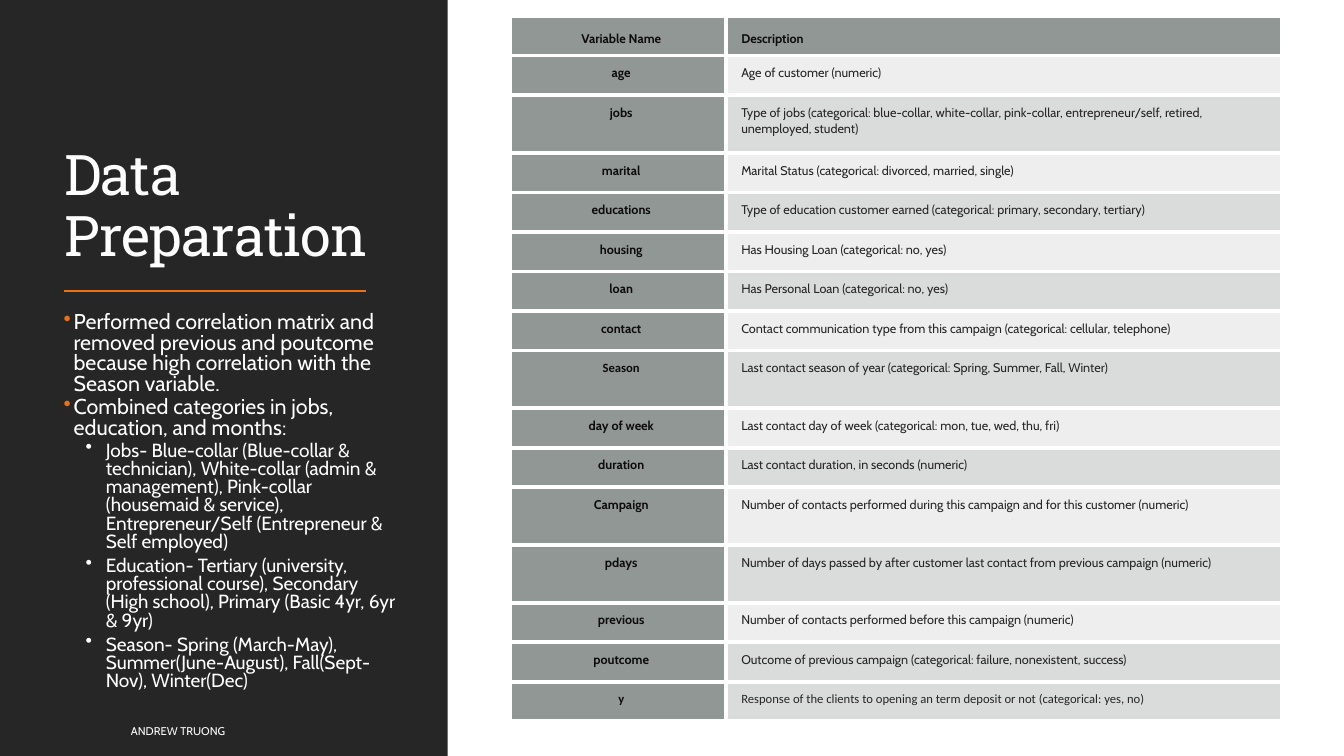
from lxml.etree import SubElement
from pptx import Presentation
from pptx.dml.color import RGBColor
from pptx.enum.shapes import MSO_CONNECTOR, MSO_SHAPE
from pptx.enum.text import MSO_ANCHOR, PP_ALIGN
from pptx.oxml import parse_xml
from pptx.oxml.ns import nsdecls, qn
from pptx.util import Inches, Pt

HUES = {"dark": "262626", "white": "FFFFFF", "accent": "EC7016",
        "ink": "0D0D0D", "name": "636B68", "band": "878E8B"}
MAIN, HEAD, ALT = "Cabin", "Roboto Slab", "Calibri"

POINTS = [
    (0, "Performed correlation matrix and removed previous and poutcome "
        "because high correlation with the Season variable."),
    (0, "Combined categories in jobs, education, and months:"),
    (1, "Jobs- Blue-collar (Blue-collar & technician), White-collar (admin & "
        "management), Pink-collar (housemaid & service), Entrepreneur/Self "
        "(Entrepreneur & Self employed)"),
    (1, "Education- Tertiary (university, professional course), Secondary "
        "(High school), Primary (Basic 4yr, 6yr & 9yr)"),
    (1, "Season- Spring (March-May), Summer(June-August), Fall(Sept-Nov), "
        "Winter(Dec)"),
]

ROWS = [
    ("Variable Name", "Description"),
    ("age", "Age of customer (numeric)"),
    ("jobs", "Type of jobs (categorical: blue-collar, white-collar, pink-collar, "
             "entrepreneur/self, retired, unemployed, student)"),
    ("marital", "Marital Status (categorical: divorced, married, single)"),
    ("educations", "Type of education customer earned (categorical: primary, "
                   "secondary, tertiary)"),
    ("housing", "Has Housing Loan (categorical: no, yes)"),
    ("loan", "Has Personal Loan (categorical: no, yes)"),
    ("contact", "Contact communication type from this campaign (categorical: "
                "cellular, telephone)"),
    ("Season", "Last contact season of year (categorical: Spring, Summer, Fall, "
               "Winter)"),
    ("day of week", "Last contact day of week (categorical: mon, tue, wed, thu, fri)"),
    ("duration", "Last contact duration, in seconds (numeric)"),
    ("Campaign", "Number of contacts performed during this campaign and for this "
                 "customer (numeric)"),
    ("pdays", "Number of days passed by after customer last contact from previous "
              "campaign (numeric)"),
    ("previous", "Number of contacts performed before this campaign (numeric)"),
    ("poutcome", "Outcome of previous campaign (categorical: failure, nonexistent, "
                 "success)"),
    ("y", "Response of the clients to opening an term deposit or not "
          "(categorical: yes, no)"),
]
TALL = {"jobs", "Season", "Campaign", "pdays"}
# Cells set in the second font, as (row name, column)
OTHER = {("Season", 0), ("y", 0), ("y", 1)}


class Deck:
    """Places elements by percent of the slide's width and height."""

    def __init__(self):
        self.show = Presentation()
        self.show.slide_width = Inches(13.33)
        self.show.slide_height = Inches(7.5)
        self.page = self.show.slides.add_slide(self.show.slide_layouts[6])

    def box(self, left, top, width, height):
        wide, high = self.show.slide_width, self.show.slide_height
        return [int(share * side / 100) for share, side in
                ((left, wide), (top, high), (width, wide), (height, high))]

    def hue(self, name):
        return RGBColor.from_string(HUES[name])

    def style(self, para, size, hue="white", font=MAIN, bold=False, lead=1.0):
        para.line_spacing = lead
        for run in para.runs:
            run.font.size, run.font.name, run.font.bold = Pt(size), font, bold
            run.font.color.rgb = self.hue(hue)

    def panel(self, area, hue):
        shape = self.page.shapes.add_shape(MSO_SHAPE.RECTANGLE, *self.box(*area))
        shape.shadow.inherit = False
        shape.fill.solid()
        shape.fill.fore_color.rgb = self.hue(hue)
        shape.line.fill.background()

    def rule(self, left, top, width, hue):
        x, y, span, _ = self.box(left, top, width, 0)
        line = self.page.shapes.add_connector(
            MSO_CONNECTOR.STRAIGHT, x, y, x + span, y)
        line.line.color.rgb = self.hue(hue)
        line.line.width = Pt(1.5)
        SubElement(line._element.spPr, qn("a:effectLst"))

    def frame(self, area, anchor=MSO_ANCHOR.TOP):
        frame = self.page.shapes.add_textbox(*self.box(*area)).text_frame
        frame.word_wrap = True
        frame.vertical_anchor = anchor
        return frame

    def label(self, area, text, size, anchor, font=MAIN, lead=1.0, track=0):
        frame = self.frame(area, anchor)
        frame.text = text
        para = frame.paragraphs[0]
        self.style(para, size, font=font, lead=lead)
        para.runs[0].font._element.set("spc", str(track))

    def bullets(self, area, items):
        frame = self.frame(area)
        frame.margin_left = frame.margin_right = 0
        frame.text = "\n".join(text for _, text in items)
        for para, (level, _) in zip(frame.paragraphs, items):
            size, after, left, hang, hue = (
                (13.6, 4, 0.42, 0.2, "white") if level else
                (15.3, 2, 0.1, 0.1, "accent"))
            self.style(para, size, lead=0.8)
            para.level = level
            para.space_after = Pt(after)
            props = para._p.get_or_add_pPr()
            props.set("marL", str(Inches(left)))
            props.set("indent", str(-Inches(hang)))
            tint = SubElement(props, qn("a:buClr"))
            SubElement(tint, qn("a:srgbClr"), val=HUES[hue])
            SubElement(props, qn("a:buChar"), char="•")

    def cell(self, cell, hue, alpha):
        cell.margin_left = Inches(0.15)
        cell.margin_right = cell.margin_top = cell.margin_bottom = Inches(0.09)
        cell.fill.solid()
        cell.fill.fore_color.rgb = self.hue(hue)
        props = cell._tc.get_or_add_tcPr()
        tint = props.find(qn("a:solidFill")).find(qn("a:srgbClr"))
        SubElement(tint, qn("a:alpha"), val=str(alpha * 1000))
        for spot, side in enumerate("LRTB"):
            props.insert(spot, parse_xml(
                f'<a:ln{side} {nsdecls("a")} w="{Pt(3)}"><a:solidFill>'
                f'<a:srgbClr val="{HUES["white"]}"/></a:solidFill></a:ln{side}>'))

    def table(self, area, rows, split):
        place = self.box(*area)
        grid = self.page.shapes.add_table(len(rows), 2, *place).table
        grid.first_row = grid.horz_banding = False
        for col, share in zip(grid.columns, (split, 1 - split)):
            col.width = int(place[2] * share)
        # Tall rows get a fixed extra; the rest is shared evenly
        extra = Inches(0.18)
        base = (place[3] - extra * len(TALL)) // len(rows)
        last = len(rows) - 1
        for r, texts in enumerate(rows):
            grid.rows[r].height = base + extra * (texts[0] in TALL)
            for c, text in enumerate(texts):
                cell = grid.cell(r, c)
                strong = r == 0 or c == 0
                pale = r % 2 and r != last
                self.cell(cell, "name" if strong else "band",
                          70 if strong else 15 if pale else 30)
                cell.vertical_anchor = MSO_ANCHOR.TOP if r else MSO_ANCHOR.BOTTOM
                cell.text_frame.text = text
                para = cell.text_frame.paragraphs[0]
                para.alignment = PP_ALIGN.LEFT if c else PP_ALIGN.CENTER
                font = ALT if (texts[0], c) in OTHER else MAIN
                self.style(para, 9, "ink" if strong else "dark", font, strong, 1.07)


def main():
    deck = Deck()
    # Side panel with title and findings
    deck.panel((0, 0, 33.3, 100), "dark")
    deck.label((4.05, 7.6, 25.28, 28.53), "Data Preparation", 40,
               MSO_ANCHOR.BOTTOM, HEAD, 0.9, -50)
    deck.rule(4.73, 38.53, 22.5, "accent")
    deck.bullets((4.73, 40.8, 24.68, 53.2), POINTS)
    # Table of variables
    deck.table((37.96, 2.13, 57.39, 93.33), ROWS, 0.28)
    # Footer
    deck.label((9, 94, 55.96, 5.33), "ANDREW TRUONG", 8, MSO_ANCHOR.MIDDLE)
    deck.show.save("out.pptx")


if __name__ == "__main__":
    main()
